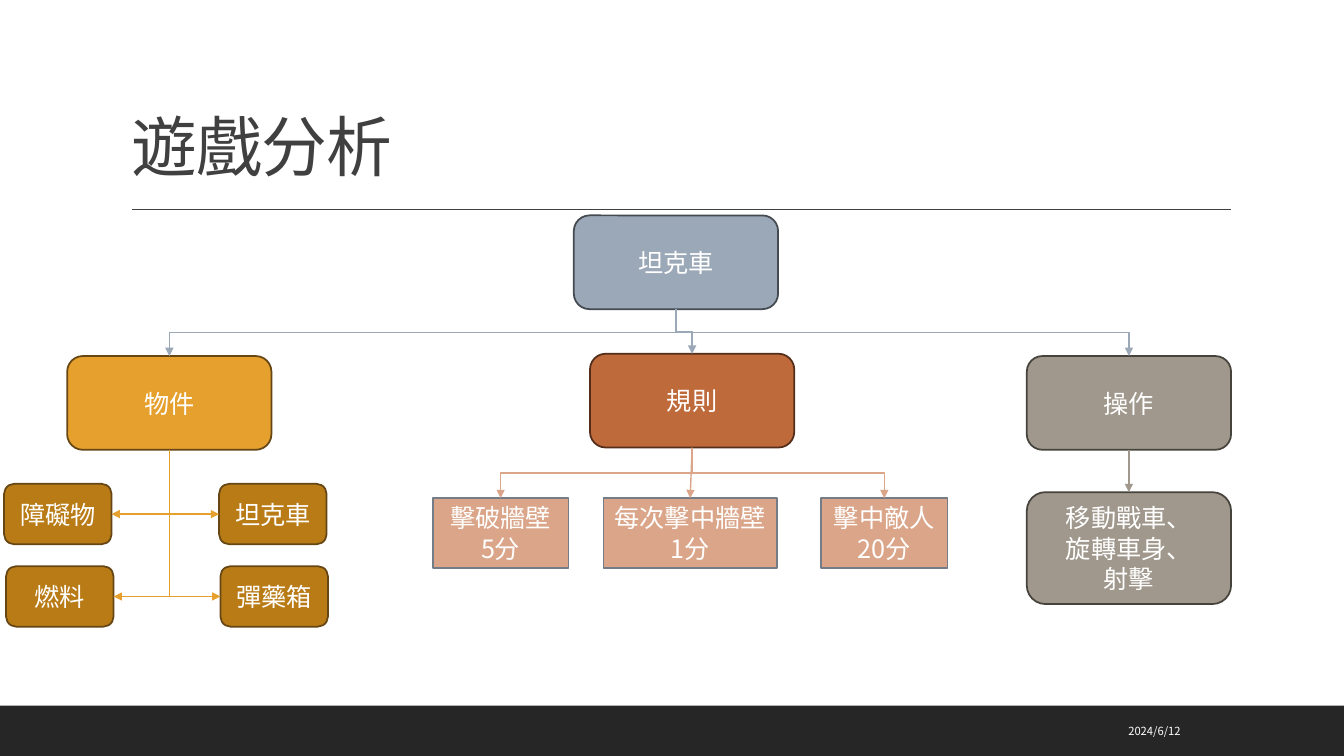
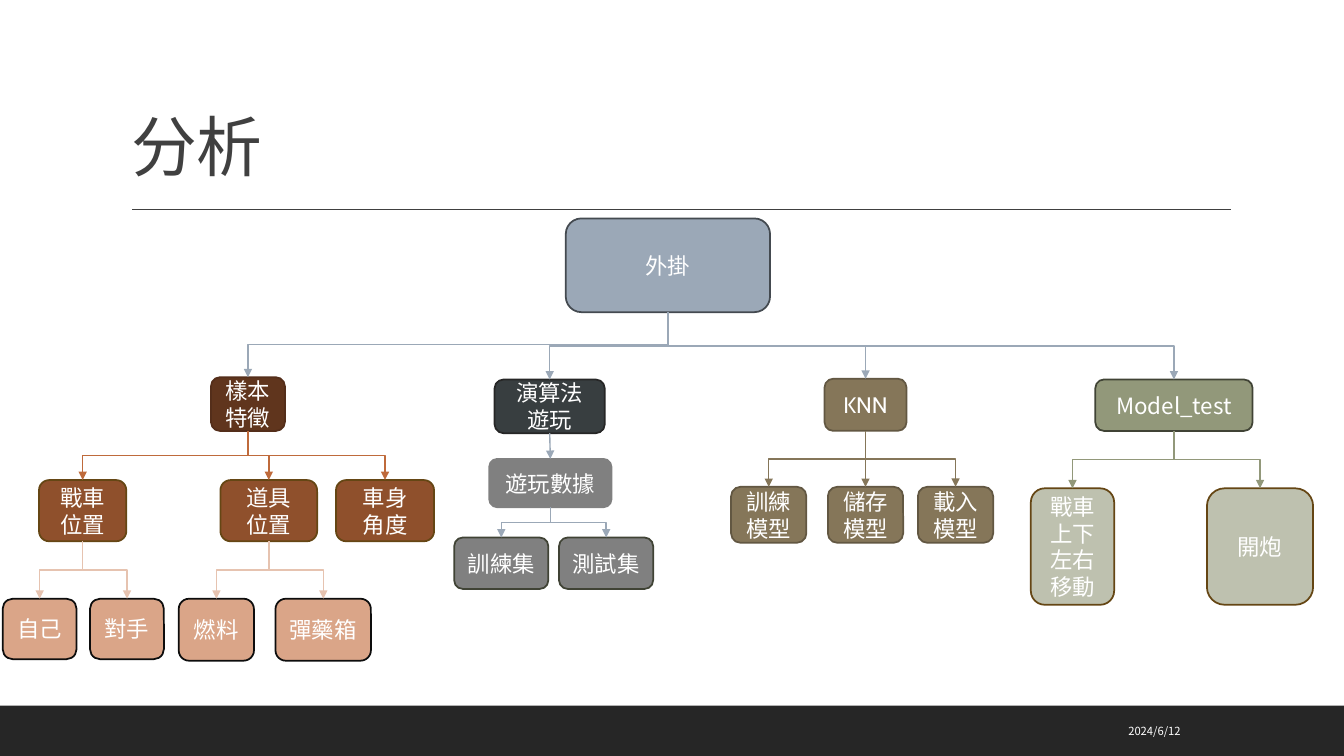
import pptx
import pptx.util
import pptx.dml.color
import pptx.enum.shapes
import pptx.enum.text
import pptx.oxml.ns
from dataclasses import dataclass
from lxml import etree

Pt = pptx.util.Pt
RGB = pptx.dml.color.RGBColor.from_string
qn = pptx.oxml.ns.qn
ALIGN = pptx.enum.text.PP_ALIGN
ANCHOR = pptx.enum.text.MSO_ANCHOR
SHAPE = pptx.enum.shapes.MSO_SHAPE
CONNECTOR = pptx.enum.shapes.MSO_CONNECTOR


@dataclass(frozen=True)
class Theme:
    font: str = "Noto Sans CJK SC"
    latin: str = "Cabin"
    title_size: float = 47
    date_size: float = 8
    outline: float = 1.25
    link: float = 1
    ink: str = "404040"
    band: str = "262626"
    white: str = "FFFFFF"
    slate: str = "9BA8B7"
    amber: str = "E6A02E"
    rust: str = "BF6A3B"
    stone: str = "A0988C"
    salmon: str = "DAA588"
    blush: str = "E6C3B0"
    khaki: str = "857659"
    olive: str = "92987A"


theme = Theme()

# Node styles: fill, outline, shape
ROUND, SQUARE = SHAPE.ROUNDED_RECTANGLE, SHAPE.RECTANGLE
STYLES = {
    "root": (theme.slate, "444A50", ROUND),
    "objects": (theme.amber, "654614", ROUND),
    "object": ("B97B16", "654614", ROUND),
    "rules": (theme.rust, "542E1A", ROUND),
    "rule": (theme.salmon, "737C87", SQUARE),
    "control": (theme.stone, "46433D", ROUND),
    "features": ("60351D", "542E1A", ROUND),
    "feature": ("8F502C", "654614", ROUND),
    "detail": (theme.salmon, "0D0D0D", ROUND),
    "algorithm": ("383E40", "262626", ROUND),
    "data": ("808080", "808080", ROUND),
    "dataset": ("808080", "404335", ROUND),
    "knn": (theme.khaki, "625742", ROUND),
    "test": (theme.olive, "404335", ROUND),
    "action": ("BEC1AF", "654614", ROUND),
}

# Families: parent, link colour, node style, top, height, [(text, left, width)]
# Lengths are hundredths of the slide's width or height.
GAME = [
    (None, None, "root", 28.5, 12.4, [("坦克車", 42.7, 15.2)]),
    ("坦克車", theme.slate, "objects", 47.1, 12.4, [("物件", 5, 15.2)]),
    ("坦克車", theme.slate, "rules", 46.8, 12.4, [("規則", 43.9, 15.2)]),
    ("坦克車", theme.slate, "control", 47.1, 12.4, [("操作", 76.4, 15.2)]),
    ("物件", theme.amber, "object", 64, 8, [("障礙物", 0.3, 8), ("坦克車", 16.3, 8)]),
    ("物件", theme.amber, "object", 74.9, 8, [("燃料", 0.45, 8), ("彈藥箱", 16.4, 8)]),
    ("規則", theme.salmon, "rule", 65.9, 9.2,
     [("擊破牆壁\n5分", 32.2, 10.1), ("每次擊中牆壁\n1分", 44.9, 12.9),
      ("擊中敵人\n20分", 61.1, 9.4)]),
    ("操作", theme.stone, "control", 65.1, 14.8,
     [("移動戰車、\n旋轉車身、\n射擊", 76.4, 15.2)]),
]
PLUGIN = [
    (None, None, "root", 28.9, 12.4, [("外掛", 42.1, 15.2)]),
    ("外掛", theme.slate, "features", 49.9, 7.1, [("樣本\n特徵", 15.7, 5.5)]),
    ("外掛", theme.slate, "algorithm", 50.2, 7.1, [("演算法遊玩", 36.8, 8.2)]),
    ("外掛", theme.slate, "knn", 50.1, 6.9, [("KNN", 61.35, 6.1)]),
    ("外掛", theme.slate, "test", 50.2, 6.8, [("Model_test", 81.5, 11.7)]),
    ("樣本\n特徵", theme.rust, "feature", 63.5, 8.1,
     [("戰車位置", 2.9, 6.5), ("道具\n位置", 16.4, 7.2), ("車身\n角度", 25, 7.3)]),
    ("戰車位置", theme.blush, "detail", 79.2, 8, [("自己", 0.2, 5.5), ("對手", 6.7, 5.5)]),
    ("道具\n位置", theme.blush, "detail", 79.2, 8.2,
     [("燃料", 13.3, 5.6), ("彈藥箱", 20.5, 7.1)]),
    ("演算法遊玩", theme.slate, "data", 60.7, 6.4, [("遊玩數據", 36.4, 9.1)]),
    ("遊玩數據", theme.slate, "dataset", 71.1, 6.8,
     [("訓練集", 33.8, 7), ("測試集", 41.6, 7)]),
    ("KNN", theme.khaki, "knn", 64.4, 7.4,
     [("訓練\n模型", 54.4, 5.6), ("儲存\n模型", 61.6, 5.6), ("載入\n模型", 68.3, 5.6)]),
    ("Model_test", theme.olive, "action", 64.6, 15.4,
     [("戰車\n上下左右移動", 76.7, 6.2), ("開炮", 89.8, 7.9)]),
]
# Title, node text size, families
SLIDES = [("遊戲分析", 18, GAME), ("分析", 16, PLUGIN)]

deck = pptx.Presentation()
deck.slide_width, deck.slide_height = pptx.util.Inches(13.33), pptx.util.Inches(7.5)
col, row = deck.slide_width / 100, deck.slide_height / 100


def write(frame, text, size, color, align, anchor, latin=theme.font):
    """Fill a text frame with evenly formatted paragraphs."""
    frame.text = text
    frame.word_wrap = True
    frame.vertical_anchor = anchor
    for paragraph in frame.paragraphs:
        paragraph.alignment = align
        paragraph.font.size = Pt(size)
        paragraph.font.color.rgb = RGB(color)
        paragraph.font.name = latin
        defaults = paragraph._p.pPr.find(qn("a:defRPr"))
        etree.SubElement(defaults, qn("a:ea")).set("typeface", theme.font)


def connect(slide, parent, child, color, to_side):
    """Draw an arrow from below the parent to the top or near side of the child."""
    x1, y1 = parent.left + parent.width // 2, parent.top + parent.height
    x2, y2 = child.left + child.width // 2, child.top
    leftward = x2 < x1
    site = 0
    if to_side:
        site = 3 if leftward else 1
        x2 = child.left + (child.width if leftward else 0)
        y2 = child.top + child.height // 2
    straight = abs(x2 - x1) < col / 3
    kind = CONNECTOR.STRAIGHT if straight else CONNECTOR.ELBOW
    link = slide.shapes.add_connector(kind, x1, y1, x2, y2)
    link.begin_connect(parent, 2)
    link.end_connect(child, site)
    properties = link.element.spPr
    if not straight:
        # A quarter turn makes the elbow leave its parent downwards
        across, down = abs(x2 - x1), y2 - y1
        link.left, link.top = (x1 + x2 - down) // 2, (y1 + y2 - across) // 2
        link.width, link.height = down, across
        frame = properties.find(qn("a:xfrm"))
        frame.set("rot", "5400000" if leftward else "16200000")
        frame.set("flipH", "0" if leftward else "1")
        frame.set("flipV", "0")
        if to_side:
            properties.find(qn("a:prstGeom")).set("prst", "bentConnector2")
    link.line.color.rgb = RGB(color)
    link.line.width = Pt(theme.link)
    etree.SubElement(properties.find(qn("a:ln")), qn("a:tailEnd")).set("type", "triangle")
    etree.SubElement(properties, qn("a:effectLst"))


# Shared layout: title place, footer band and rule under the title
layout = deck.slide_layouts.get_by_name("Title Only")
heading = layout.placeholders[0]
heading.left, heading.top = int(9 * col), int(4.1 * row)
heading.width, heading.height = int(82.5 * col), int(21.2 * row)

for title, node_size, families in SLIDES:
    slide = deck.slides.add_slide(layout)

    if len(deck.slides) == 1:
        band = slide.shapes.add_shape(
            SQUARE, 0, int(93.35 * row), deck.slide_width, int(6.65 * row))
        band.fill.solid()
        band.fill.fore_color.rgb = RGB(theme.band)
        band.line.fill.background()
        band.shadow.inherit = False
        rule = slide.shapes.add_connector(
            CONNECTOR.STRAIGHT, int(9.83 * col), int(27.7 * row),
            int(91.6 * col), int(27.7 * row))
        rule.line.color.rgb = RGB(theme.ink)
        rule.line.width = Pt(1)
        etree.SubElement(rule.element.spPr, qn("a:effectLst"))
        for part in (band, rule):
            layout.shapes.element.append(part.element)

    # Title and date
    headline = slide.shapes.title.text_frame
    write(headline, title, theme.title_size, theme.ink, ALIGN.LEFT, ANCHOR.BOTTOM)
    headline.auto_size = pptx.enum.text.MSO_AUTO_SIZE.NONE
    headline.paragraphs[0].line_spacing = 0.9
    headline.paragraphs[0]._p.pPr.find(qn("a:defRPr")).set("spc", "-50")
    date = slide.shapes.add_textbox(
        int(67.4 * col), int(94 * row), int(21.2 * col), int(5.3 * row))
    write(date.text_frame, "2024/6/12", theme.date_size, theme.white,
          ALIGN.RIGHT, ANCHOR.MIDDLE)

    # Tree: each family follows its parent
    nodes = {}
    for parent, link_color, style, top, height, members in families:
        fill, outline, outline_shape = STYLES[style]
        origin = nodes.get(parent)
        for text, left, width in members:
            node = slide.shapes.add_shape(
                outline_shape, int(left * col), int(top * row),
                int(width * col), int(height * row))
            node.fill.solid()
            node.fill.fore_color.rgb = RGB(fill)
            node.line.color.rgb = RGB(outline)
            node.line.width = Pt(theme.outline)
            node.shadow.inherit = False
            write(node.text_frame, text, node_size, theme.white, ALIGN.CENTER,
                  ANCHOR.MIDDLE, theme.latin if style == "knn" else theme.font)
            nodes[text] = node
            if origin is not None:
                connect(slide, origin, node, link_color, style == "object")

deck.save("out.pptx")
